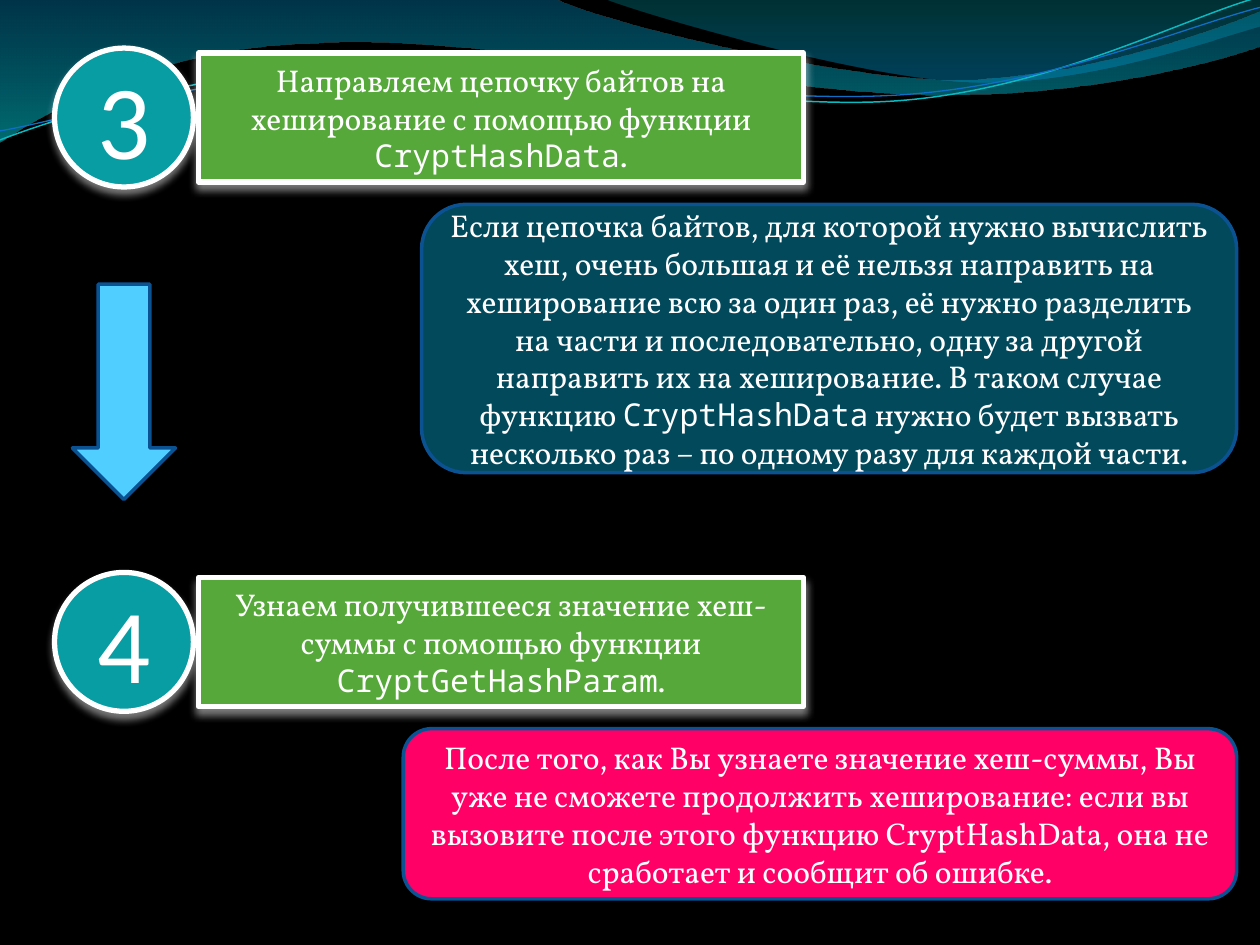
from math import cos, radians, sin

from lxml import etree
from pptx import Presentation
from pptx.dml.color import RGBColor
from pptx.enum.shapes import MSO_SHAPE
from pptx.enum.text import MSO_ANCHOR, PP_ALIGN
from pptx.oxml.ns import qn
from pptx.util import Cm, Pt

RECT, ROUND = MSO_SHAPE.RECTANGLE, MSO_SHAPE.ROUNDED_RECTANGLE
OVAL, ARROW = MSO_SHAPE.OVAL, MSO_SHAPE.DOWN_ARROW
CENTER, MIDDLE = PP_ALIGN.CENTER, MSO_ANCHOR.MIDDLE
BODY, CODE, DIGIT = "Vollkorn", "Noto Sans Mono", "Calibri"
WHITE, BLUE = "FFFFFF", "0B5292"

STEPS = [
    ("3", 0.97, [("Направляем цепочку байтов на хеширование с помощью функции ", BODY),
                 ("CryptHashData", CODE), (".", BODY)]),
    ("4", 11.54, [("Узнаем получившееся значение хеш-суммы с помощью функции ", BODY),
                  ("CryptGetHashParam", CODE), (".", BODY)]),
]
NOTES = [
    ((8.5, 4.12, 16.43, 5.41), "03495C", [
        ("Если цепочка байтов, для которой нужно вычислить хеш, очень большая и её нельзя "
         "направить на хеширование всю за один раз, её нужно разделить на части и "
         "последовательно, одну за другой направить их на хеширование. В таком случае "
         "функцию ", BODY),
        ("CryptHashData", CODE),
        (" нужно будет вызвать несколько раз – по одному разу для каждой части.", BODY)]),
    ((8.13, 14.69, 16.8, 3.43), "FF0066", [
        ("После того, как Вы узнаете значение хеш-суммы, Вы уже не сможете продолжить "
         "хеширование: если вы вызовите после этого функцию CryptHashData, она не "
         "сработает и сообщит об ошибке.", BODY)]),
]

WAVES = [
    ([[(0, 0)], [(11.18, -0.03)], [(12.09, 0.43), (16.87, 1.6), (19.25, 1.6)],
      [(21.67, 1.6), (24.33, 0.66), (25.4, 0.23)], [(25.43, 0.91)],
      [(24.97, 1.12), (22.1, 1.93), (18.95, 1.91)],
      [(15.8, 1.91), (9.7, 0.71), (6.53, 0.86)],
      [(3.28, 0.91), (1.17, 2.11), (-0.03, 2.87)], [(0, 0)]],
     [(0, "0074A1", 45), (1, "00C6CF", 55)]),
    ([[(12.17, -0.03)], [(12.93, 0.28), (17.32, 1.57), (19.53, 1.65)],
      [(21.74, 1.75), (24.41, 0.81), (25.4, 0.53)], [(25.4, 0)], [(12.17, -0.03)]],
     [(0, "00A1A9", 30), (0.8, "008BBF", 45)]),
]
TILT = 357.3
STRANDS = [
    ([[(0, 2.82)], [(1.22, 2.36), (4.01, 1.45), (7.04, 1.32)],
      [(10.03, 1.19), (15.06, 2.26), (18.11, 2.03)],
      [(21.16, 1.8), (23.83, 0.38), (25.35, -0.05)]],
     (12.67, 1.46), "0AB8BF", 0.85),
    ([[(0, 2.64)], [(1.19, 2.44), (4.17, 1.55), (7.19, 1.42)],
      [(10.24, 1.3), (15.16, 2.13), (18.21, 1.91)],
      [(21.23, 1.7), (23.9, 0.53), (25.4, 0.15)]],
     (12.69, 1.5), "0F6FC6", 0.75),
]


def rgb(value):
    return RGBColor.from_string(value)


def turn(segments, center, degrees):
    cx, cy = center
    c, s = cos(radians(degrees)), sin(radians(degrees))
    return [[(cx + (x - cx) * c - (y - cy) * s, cy + (x - cx) * s + (y - cy) * c)
             for x, y in seg] for seg in segments]


def add_outline(shapes, segments, close):
    pts = [(Cm(x), Cm(y)) for seg in segments for x, y in seg]
    fb = shapes.build_freeform(*pts[0])
    fb.add_line_segments(pts[1:], close=close)
    sp = fb.convert_to_shape()
    sp.shadow.inherit = False
    lines = iter(list(sp._element.spPr.iter(qn("a:lnTo"))))
    for seg in segments[1:]:
        first, *rest = [next(lines) for _ in seg]
        if rest:
            first.tag = qn("a:cubicBezTo")
            for line in rest:
                first.append(line[0])
                line.getparent().remove(line)
    return sp


def add_wave(shapes, segments, stops):
    sp = add_outline(shapes, segments, True)
    sp.line.fill.background()
    sp.fill.gradient()
    sp.fill.gradient_angle = 270
    for stop, (pos, color, _) in zip(sp.fill.gradient_stops, stops):
        stop.position = pos
        stop.color.rgb = rgb(color)
    colors = sp._element.spPr.iter(qn("a:srgbClr"))
    for clr, (_, _, opacity) in zip(colors, stops):
        etree.SubElement(clr, qn("a:alpha"), val=str(opacity * 1000))


def add_strand(shapes, segments, center, color, width):
    sp = add_outline(shapes, turn(segments, center, 360 - TILT), False)
    sp.rotation = TILT
    sp.fill.background()
    sp.line.color.rgb = rgb(color)
    sp.line.width = Pt(width)


def add_shadow(sp):
    effects = sp._element.spPr.find(qn("a:effectLst"))
    outer = etree.SubElement(effects, qn("a:outerShdw"), blurRad=str(Pt(4.5)),
                             dist=str(Pt(3)), dir="5400000", rotWithShape="0")
    clr = etree.SubElement(outer, qn("a:srgbClr"), val=WHITE)
    etree.SubElement(clr, qn("a:alpha"), val="48000")


def add_box(shapes, kind, box, fill, line, width):
    sp = shapes.add_shape(kind, *(Cm(v) for v in box))
    sp.fill.solid()
    sp.fill.fore_color.rgb = rgb(fill)
    sp.line.color.rgb = rgb(line)
    sp.line.width = Pt(width)
    sp.shadow.inherit = False
    return sp


def write(sp, runs, size=18):
    tf = sp.text_frame
    tf.word_wrap = True
    tf.vertical_anchor = MIDDLE
    p = tf.paragraphs[0]
    p.alignment = CENTER
    p.font.size = Pt(size)
    p.font.color.rgb = rgb(WHITE)
    for text, font in runs:
        r = p.add_run()
        r.text = text
        r.font.name = font


def main():
    prs = Presentation()
    prs.slide_width, prs.slide_height = Cm(25.4), Cm(19.05)
    s = prs.slides.add_slide(prs.slide_layouts[6])
    s.background.fill.solid()
    s.background.fill.fore_color.rgb = rgb("000000")
    for wave in WAVES:
        add_wave(s.shapes, *wave)
    for strand in STRANDS:
        add_strand(s.shapes, *strand)
    for (number, top, runs), (box, fill, note) in zip(STEPS, NOTES):
        circle = add_box(s.shapes, OVAL, (1.1, top, 2.8, 2.8), "089CA3", WHITE, 3)
        add_shadow(circle)
        write(circle, [(number, DIGIT)], 60)
        label = add_box(s.shapes, RECT, (4, top + 0.1, 12.2, 2.6), "55A839", WHITE, 3)
        add_shadow(label)
        write(label, runs)
        write(add_box(s.shapes, ROUND, box, fill, BLUE, 2), note)
    add_box(s.shapes, ARROW, (1.46, 5.73, 2.08, 4.34), "4FCEFF", BLUE, 2)
    prs.save("out.pptx")


if __name__ == "__main__":
    main()
